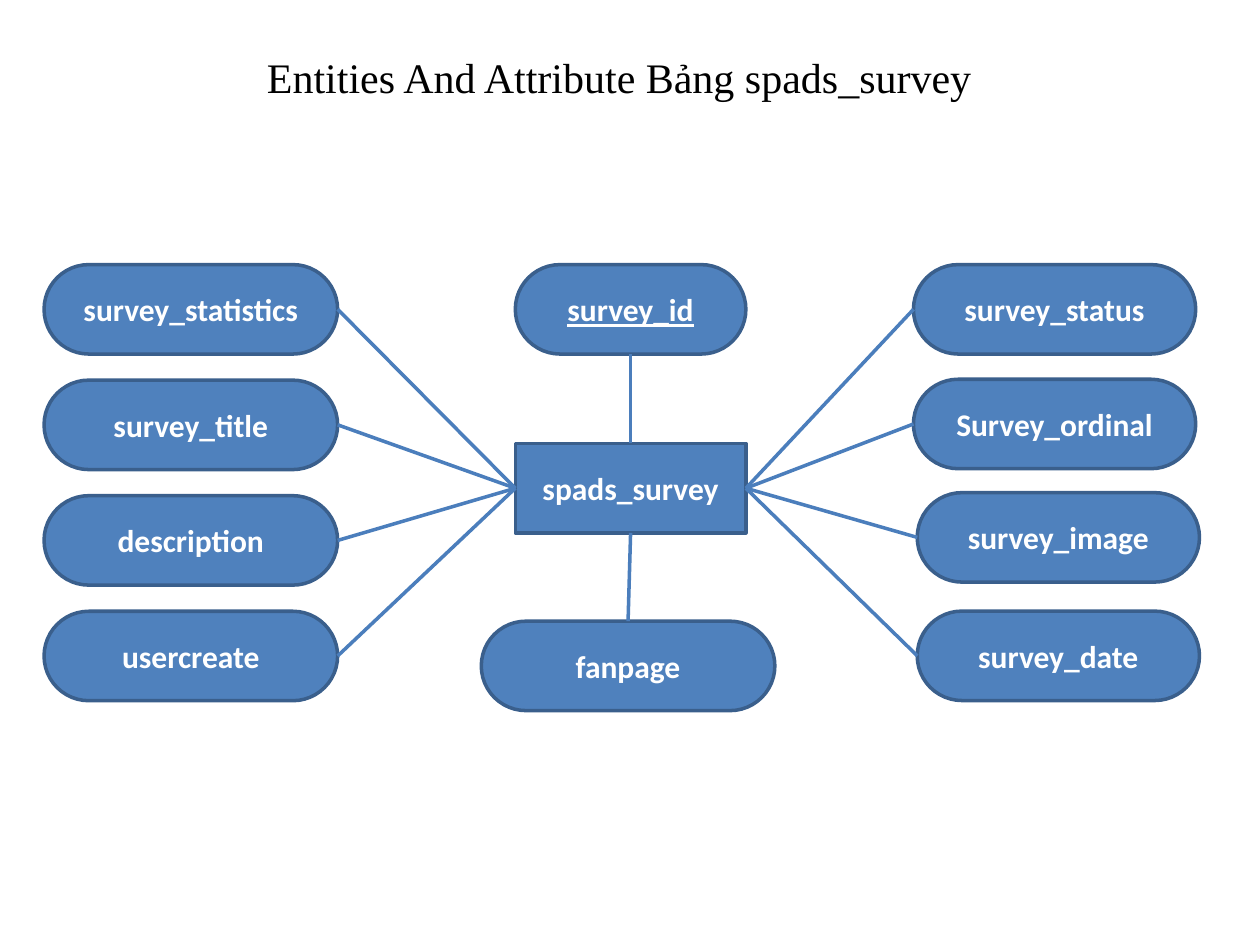
import pptx
import pptx.util
import pptx.dml.color
import pptx.enum.shapes
import pptx.enum.text
import pptx.oxml

Inches = pptx.util.Inches
Pt = pptx.util.Pt
SHAPES = pptx.enum.shapes.MSO_SHAPE
COLORS = {"fill": "4F81BD", "border": "3A5F8C", "link": "4B7EBC",
          "label": "FFFFFF", "title": "000000"}
TOP, LEFT, BOTTOM, RIGHT = range(4)
NODE_HEIGHT = 0.71
ROW_PITCH = 0.917


def color(name):
    """Return the named colour."""
    return pptx.dml.color.RGBColor.from_string(COLORS[name])


def write(frame, text, font, size, shade):
    """Write one centred line and return its run."""
    frame.word_wrap = True
    frame.text = text
    para = frame.paragraphs[0]
    para.alignment = pptx.enum.text.PP_ALIGN.CENTER
    span = para.runs[0]
    span.font.name = font
    span.font.size = Pt(size)
    span.font.color.rgb = color(shade)
    return span


def add_title(page, left, top, width, height):
    """Place the slide title in its box."""
    box = page.shapes.add_textbox(Inches(left), Inches(top), Inches(width), Inches(height))
    write(box.text_frame, "Entities And Attribute Bảng spads_survey",
          "Times New Roman", 24, "title")
    box.text_frame.auto_size = pptx.enum.text.MSO_AUTO_SIZE.SHAPE_TO_FIT_TEXT


def add_node(page, text, left, top, width, is_entity=False, is_key=False):
    """Draw the entity as a rectangle or an attribute as a pill."""
    kind = SHAPES.RECTANGLE if is_entity else SHAPES.ROUNDED_RECTANGLE
    node = page.shapes.add_shape(kind, Inches(left), Inches(top),
                                 Inches(width), Inches(NODE_HEIGHT))
    if not is_entity:
        node.adjustments[0] = 0.5
    node.shadow.inherit = False
    node.fill.solid()
    node.fill.fore_color.rgb = color("fill")
    node.line.color.rgb = color("border")
    node.line.width = Pt(2)
    node.text_frame.vertical_anchor = pptx.enum.text.MSO_ANCHOR.MIDDLE
    span = write(node.text_frame, text, "Calibri", 18, "label")
    span.font.bold = True
    if is_key:
        span.font.underline = True
    return node


def add_link(page, entity, entity_side, attribute, attribute_side):
    """Connect the entity to an attribute."""
    link = page.shapes.add_connector(pptx.enum.shapes.MSO_CONNECTOR.STRAIGHT, 0, 0, 0, 0)
    link.begin_connect(entity, entity_side)
    link.end_connect(attribute, attribute_side)
    link.line.color.rgb = color("link")
    link.line.width = Pt(2)
    link.element.spPr.append(pptx.oxml.parse_xml(
        '<a:effectLst xmlns:a="http://schemas.openxmlformats.org/drawingml/2006/main"/>'))


def add_diagram(page, left, top):
    """Place the entity with its attributes from the given corner."""
    entity = add_node(page, "spads_survey", left + 3.74, top + 1.42, 1.83, is_entity=True)
    key = add_node(page, "survey_id", left + 3.74, top, 1.83, is_key=True)
    add_link(page, entity, TOP, key, BOTTOM)
    fanpage = add_node(page, "fanpage", left + 3.47, top + 2.83, 2.33)
    add_link(page, entity, BOTTOM, fanpage, TOP)

    left_names = ["survey_statistics", "survey_title", "description", "usercreate"]
    for row, name in enumerate(left_names):
        node = add_node(page, name, left, top + row * ROW_PITCH, 2.33)
        add_link(page, entity, LEFT, node, RIGHT)

    right_nodes = [("survey_status", 6.9, 0), ("Survey_ordinal", 6.9, 0.91),
                   ("survey_image", 6.93, 1.81), ("survey_date", 6.93, 2.75)]
    for name, across, down in right_nodes:
        node = add_node(page, name, left + across, top + down, 2.24)
        add_link(page, entity, RIGHT, node, LEFT)


def main():
    """Build and save the deck."""
    deck = pptx.Presentation()
    deck.slide_width = Inches(10)
    deck.slide_height = Inches(7.5)
    page = deck.slides.add_slide(deck.slide_layouts[6])
    add_title(page, 0.98, 0.36, 7.87, 0.5)
    add_diagram(page, 0.35, 2.1)
    deck.save("out.pptx")


main()
